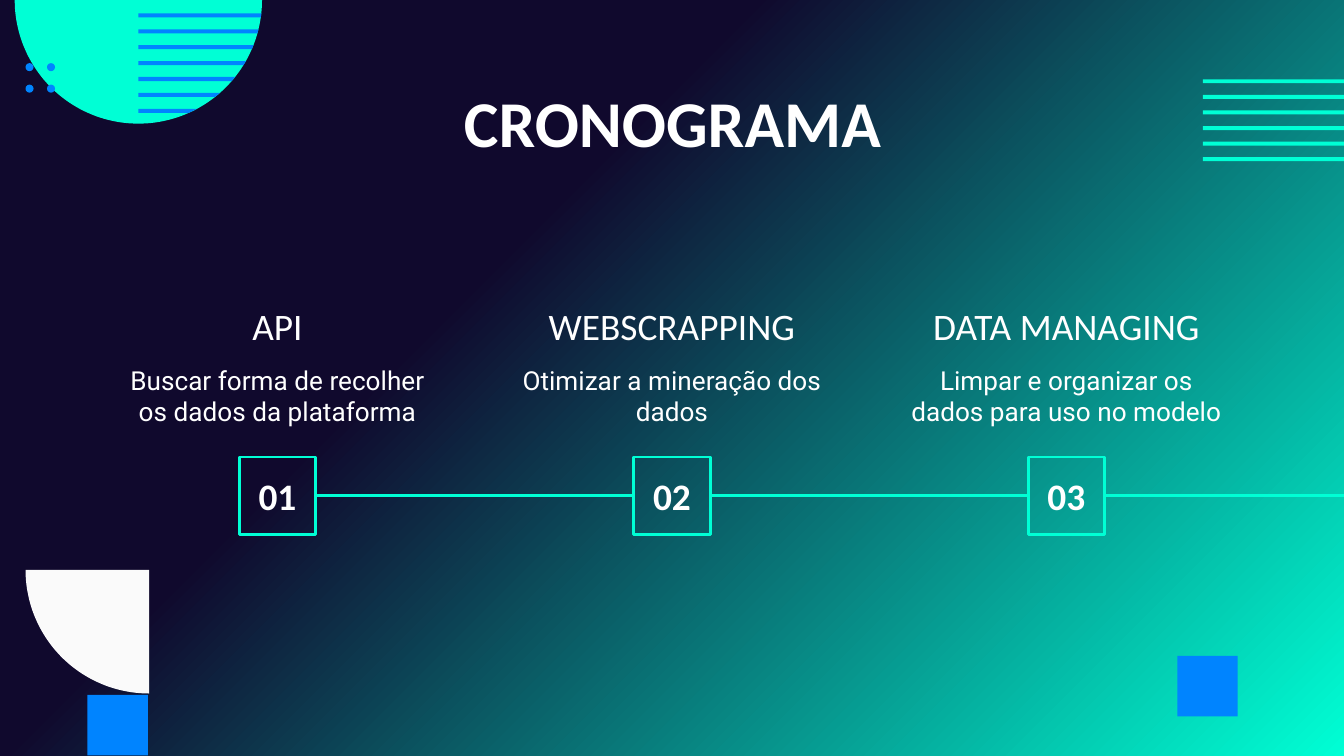
import copy
import math

import pptx
import pptx.dml.color
import pptx.enum.shapes
import pptx.enum.text
import pptx.oxml
import pptx.oxml.ns
import pptx.util

Inches = pptx.util.Inches
RGBColor = pptx.dml.color.RGBColor
SHAPE = pptx.enum.shapes.MSO_SHAPE
NAVY = RGBColor(0x10, 0x09, 0x2D)
MINT = RGBColor(0x00, 0xFF, 0xD5)
BLUE = RGBColor(0x00, 0x84, 0xFF)
PALE = RGBColor(0xFA, 0xFA, 0xFA)
WHITE = RGBColor(0xFF, 0xFF, 0xFF)


def paint(sp, color):
    """Give a shape a flat fill with no outline or shadow."""
    sp.fill.solid()
    sp.fill.fore_color.rgb = color
    sp.line.fill.background()
    sp.shadow.inherit = False


def write(sp, text, size, font="Calibri", bold=False, anchor="MIDDLE"):
    """Put centred white text into a shape or text box."""
    tf = sp.text_frame
    tf.word_wrap = True
    tf.vertical_anchor = pptx.enum.text.MSO_ANCHOR[anchor]
    tf.margin_left = tf.margin_right = Inches(0.1)
    tf.margin_top = tf.margin_bottom = Inches(0.1)
    tf.text = text
    p = tf.paragraphs[0]
    p.alignment = pptx.enum.text.PP_ALIGN.CENTER
    r = p.runs[0]
    r.font.name = font
    r.font.size = pptx.util.Pt(size)
    r.font.bold = bold
    r.font.color.rgb = WHITE


prs = pptx.Presentation()
prs.slide_width = Inches(10)
prs.slide_height = Inches(10 * 9 / 16)
s = prs.slides.add_slide(prs.slide_layouts[6])
shapes = s.shapes

# Background: solid navy up to 36 %, then fading to mint
fill = s.background.fill
fill.gradient()
fill.gradient_angle = 315
for stop, position, color in zip(fill.gradient_stops, (0.36, 1), (NAVY, MINT)):
    stop.position = position
    stop.color.rgb = color
gs = next(s.element.iter(pptx.oxml.ns.qn("a:gs")))
start = copy.deepcopy(gs)
start.set("pos", "0")
gs.addprevious(start)

# Blue squares
for x, y in ((8.76, 4.88), (0.65, 5.17)):
    paint(shapes.add_shape(SHAPE.RECTANGLE, Inches(x), Inches(y),
                           Inches(0.45), Inches(0.45)), BLUE)

# Mint stripes running to the right edge
for i in range(6):
    paint(shapes.add_shape(SHAPE.RECTANGLE, Inches(8.95),
                           Inches(0.59 + 0.58 / 5 * i),
                           Inches(1.05), Inches(0.03)), MINT)

# Curved outlines: quarter disc, half disc and the stripes cut by its edge
DISC_X, RADIUS = 1.03, 0.92
quarter = [(1.11, 4.24)]
for degree in range(90, 181, 2):
    a = math.radians(degree)
    quarter.append((1.11 + RADIUS * math.cos(a), 4.24 + RADIUS * math.sin(a)))
half = []
for degree in range(0, 181, 2):
    a = math.radians(degree)
    half.append((DISC_X + RADIUS * math.cos(a), RADIUS * math.sin(a)))
outlines = [(quarter, PALE), (half, MINT)]
for i in range(7):
    top = 0.1 + 0.71 / 6 * i
    bottom = top + 0.03
    outlines.append(([(DISC_X, top),
                      (DISC_X + math.sqrt(RADIUS ** 2 - top ** 2), top),
                      (DISC_X + math.sqrt(RADIUS ** 2 - bottom ** 2), bottom),
                      (DISC_X, bottom)], BLUE))
for points, color in outlines:
    points = [(Inches(x), Inches(y)) for x, y in points]
    builder = shapes.build_freeform(*points[0])
    builder.add_line_segments(points[1:])
    paint(builder.convert_to_shape(), color)

# Blue dots
for x in (0.19, 0.35):
    for y in (0.47, 0.63):
        paint(shapes.add_shape(SHAPE.OVAL, Inches(x), Inches(y),
                               Inches(0.06), Inches(0.06)), BLUE)

# Title
write(shapes.add_textbox(Inches(0.79), Inches(0.59), Inches(8.43), Inches(0.63)),
      "CRONOGRAMA", 35, bold=True)

# Timeline steps, spread evenly around the middle of the slide
STEPS = [
    ("API", "Buscar forma de recolher os dados da plataforma"),
    ("WEBSCRAPPING", "Otimizar a mineração dos dados"),
    ("DATA MANAGING", "Limpar e organizar os dados para uso no modelo"),
]
boxes = []
for i, (name, detail) in enumerate(STEPS):
    center = 5 + 5.87 / 2 * (i - 1)
    left = Inches(center - 2.56 / 2)
    write(shapes.add_textbox(left, Inches(2.13), Inches(2.56), Inches(0.58)),
          name, 20)
    write(shapes.add_textbox(left, Inches(2.61), Inches(2.56), Inches(0.78)),
          detail, 14, font="Roboto", anchor="TOP")
    box = shapes.add_shape(SHAPE.RECTANGLE, Inches(center - 0.57 / 2),
                           Inches(3.4), Inches(0.57), Inches(0.58))
    box.fill.background()
    box.line.color.rgb = MINT
    box.line.width = pptx.util.Pt(1.5)
    box.shadow.inherit = False
    write(box, f"{i + 1:02d}", 20, bold=True)
    boxes.append(box)

# Lines between the boxes, the last one running to the slide edge
for box, following in zip(boxes, boxes[1:] + [None]):
    line = shapes.add_connector(pptx.enum.shapes.MSO_CONNECTOR.STRAIGHT,
                                box.left + box.width, Inches(3.69),
                                prs.slide_width, Inches(3.69))
    line.begin_connect(box, 3)
    if following is not None:
        line.end_connect(following, 1)
    line.line.color.rgb = MINT
    line.line.width = pptx.util.Pt(1.5)
    line._element.spPr.append(pptx.oxml.parse_xml(
        f'<a:effectLst {pptx.oxml.ns.nsdecls("a")}/>'))

prs.save("out.pptx")
